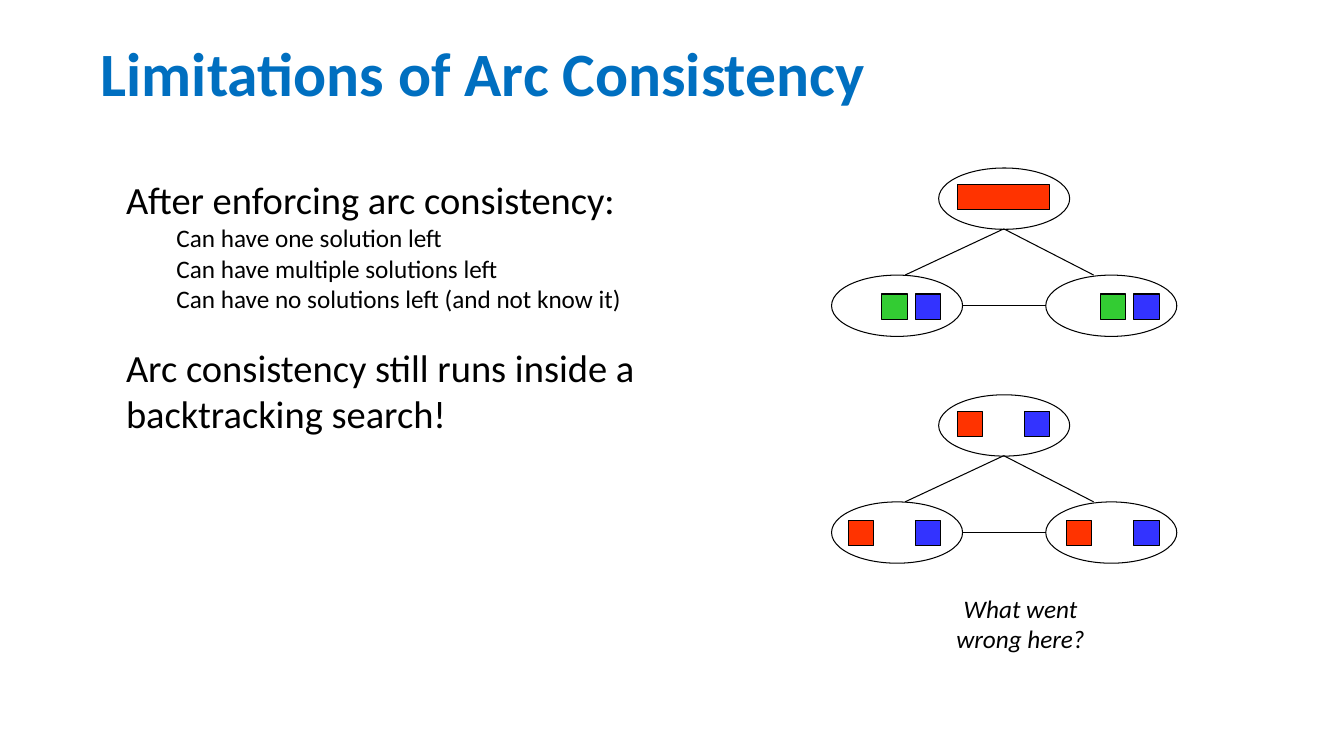
import pptx
import pptx.util
import pptx.dml.color
import pptx.enum.shapes
import pptx.enum.text
import pptx.oxml.ns
from lxml import etree

WIDE, HIGH = 13.333, 7.5
COLS = 160
UNIT = WIDE / COLS  # square grid, 160 columns by 90 rows
INK = {"title": "006FC0", "text": "000000", "red": "FF3300",
       "green": "33CC33", "blue": "3333FF"}
SLOTS = {"red": 0, "green": 1, "blue": 2}
STEP, SIDE = 4, 3       # pitch and side of the colour squares
NODE = (15.6, 7.3)
NODES = {"top": (12.75, 0), "left": (0, 12.75), "right": (25.5, 12.75)}
STARTS = {"top": (15, 2), "left": (2, 15), "right": (28, 15)}  # first slots
ARCS = [((20.5, 7.25), (8.75, 12.75)), ((20.5, 7.25), (31.2, 12.75)),
        ((15.6, 16.4), (25.5, 16.4))]


def grid(*cells):
    return [pptx.util.Inches(cell * UNIT) for cell in cells]


def tint(name):
    return pptx.dml.color.RGBColor.from_string(INK[name])


def style(para, size, color="text", bold=False, italic=False):
    for run in para.runs:
        font = run.font
        font.name, font.size = "Calibri", pptx.util.Pt(size)
        font.bold, font.italic = bold, italic
        font.color.rgb = tint(color)


def frame(shape, pad=(0, 0)):
    """Wrap text from the top, with side and top insets in inches."""
    text = shape.text_frame
    text.word_wrap = True
    text.auto_size = pptx.enum.text.MSO_AUTO_SIZE.NONE
    text.vertical_anchor = pptx.enum.text.MSO_ANCHOR.TOP
    text.margin_left = text.margin_right = pptx.util.Inches(pad[0])
    text.margin_top = text.margin_bottom = pptx.util.Inches(pad[1])
    return text


def head(slide, box):
    title = slide.shapes.title
    title.left, title.top, title.width, title.height = grid(*box)
    text = frame(title)
    text.text = "Limitations of Arc Consistency"
    para = text.paragraphs[0]
    para.alignment = pptx.enum.text.PP_ALIGN.LEFT
    style(para, 44, "title", bold=True)


def body(slide, box):
    text = frame(slide.shapes.add_textbox(*grid(*box)))
    lines = [(0, "After enforcing arc consistency:"),
             (1, "Can have one solution left"),
             (1, "Can have multiple solutions left"),
             (1, "Can have no solutions left (and not know it)"),
             (0, "Arc consistency still runs inside a backtracking search!")]
    text.text = "\n".join(line for _, line in lines)
    for para, (level, _) in zip(text.paragraphs, lines):
        para.level = level
        if level:
            para._p.get_or_add_pPr().set("marL", str(pptx.util.Inches(0.5)))
        style(para, 18 if level else 27.5)
    text.paragraphs[-1].space_before = pptx.util.Pt(22)


def outline(shape):
    shape.line.color.rgb = tint("text")
    shape.line.width = pptx.util.Pt(0.75)


def form(shapes, kind, box, fill=None):
    shape = shapes.add_shape(kind, *grid(*box))
    shape.shadow.inherit = False
    if fill:
        shape.fill.solid()
        shape.fill.fore_color.rgb = tint(fill)
    else:
        shape.fill.background()
    outline(shape)


def graph(slide, left, top, values):
    """Draw three linked variables; values gives (colour, slots) per node."""
    kinds = pptx.enum.shapes.MSO_SHAPE
    net = slide.shapes.add_group_shape().shapes
    for x, y in NODES.values():
        form(net, kinds.OVAL, (left + x, top + y, *NODE))
    for (ax, ay), (bx, by) in ARCS:
        arc = net.add_connector(
            pptx.enum.shapes.MSO_CONNECTOR.STRAIGHT,
            *grid(left + ax, top + ay, left + bx, top + by))
        outline(arc)
        etree.SubElement(arc._element.spPr, pptx.oxml.ns.qn("a:effectLst"))
    for node, colors in values.items():
        x, y = STARTS[node]
        for color, span in colors:
            form(slide.shapes, kinds.RECTANGLE,
                 (left + x + SLOTS[color] * STEP, top + y,
                  SIDE + (span - 1) * STEP, SIDE), color)


def caption(slide, box):
    text = frame(slide.shapes.add_textbox(*grid(*box)), (0.1, 0.05))
    text.text = "What went wrong here?"
    para = text.paragraphs[0]
    para.alignment = pptx.enum.text.PP_ALIGN.CENTER
    style(para, 18, italic=True)


def main():
    deck = pptx.Presentation()
    deck.slide_width = pptx.util.Inches(WIDE)
    deck.slide_height = pptx.util.Inches(HIGH)
    slide = deck.slides.add_slide(deck.slide_layouts.get_by_name("Title Only"))
    head(slide, (12, 4.1, 136, 17))
    body(slide, (15, 21, 73, 59.4))
    cool = [("green", 1), ("blue", 1)]
    pair = [("red", 1), ("blue", 1)]
    graph(slide, 99, 20, {"top": [("red", 3)], "left": cool, "right": cool})
    graph(slide, 99, 47, dict.fromkeys(NODES, pair))
    caption(slide, (110, 70, 23, 8.5))
    deck.save("out.pptx")


if __name__ == "__main__":
    main()
